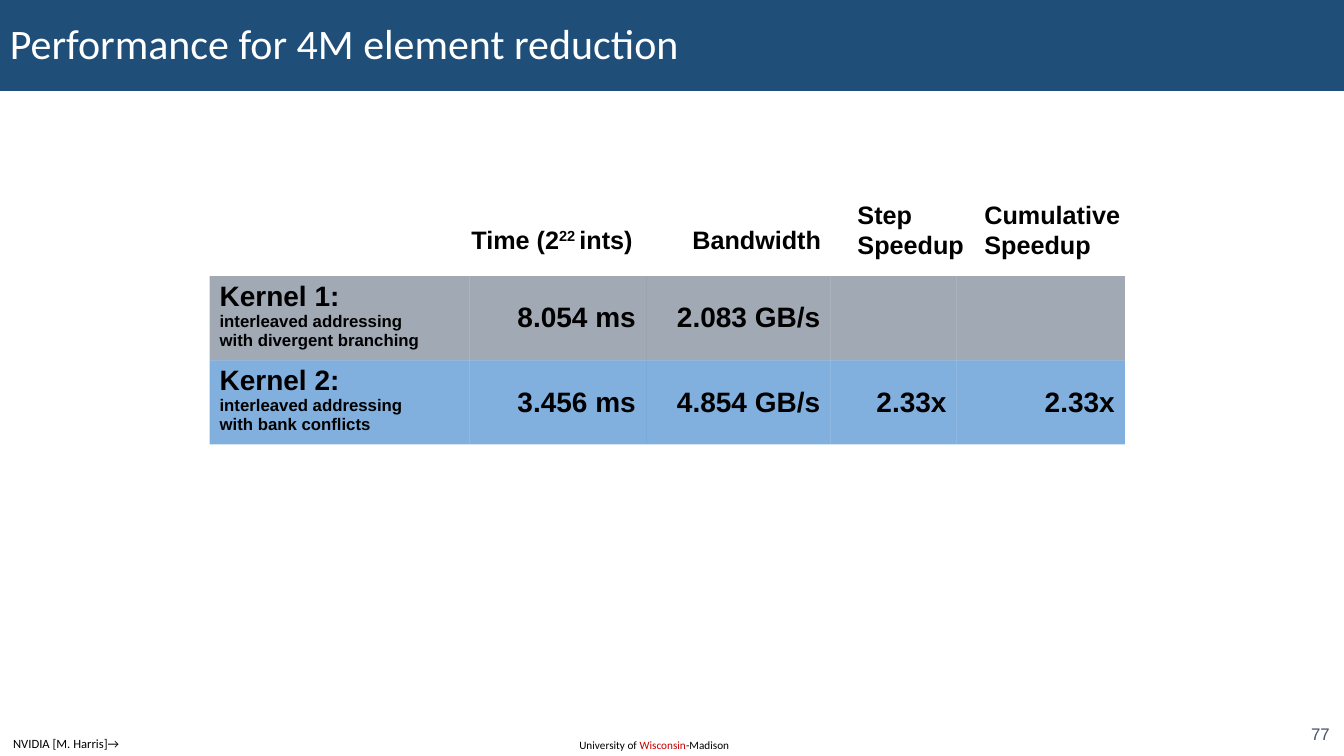
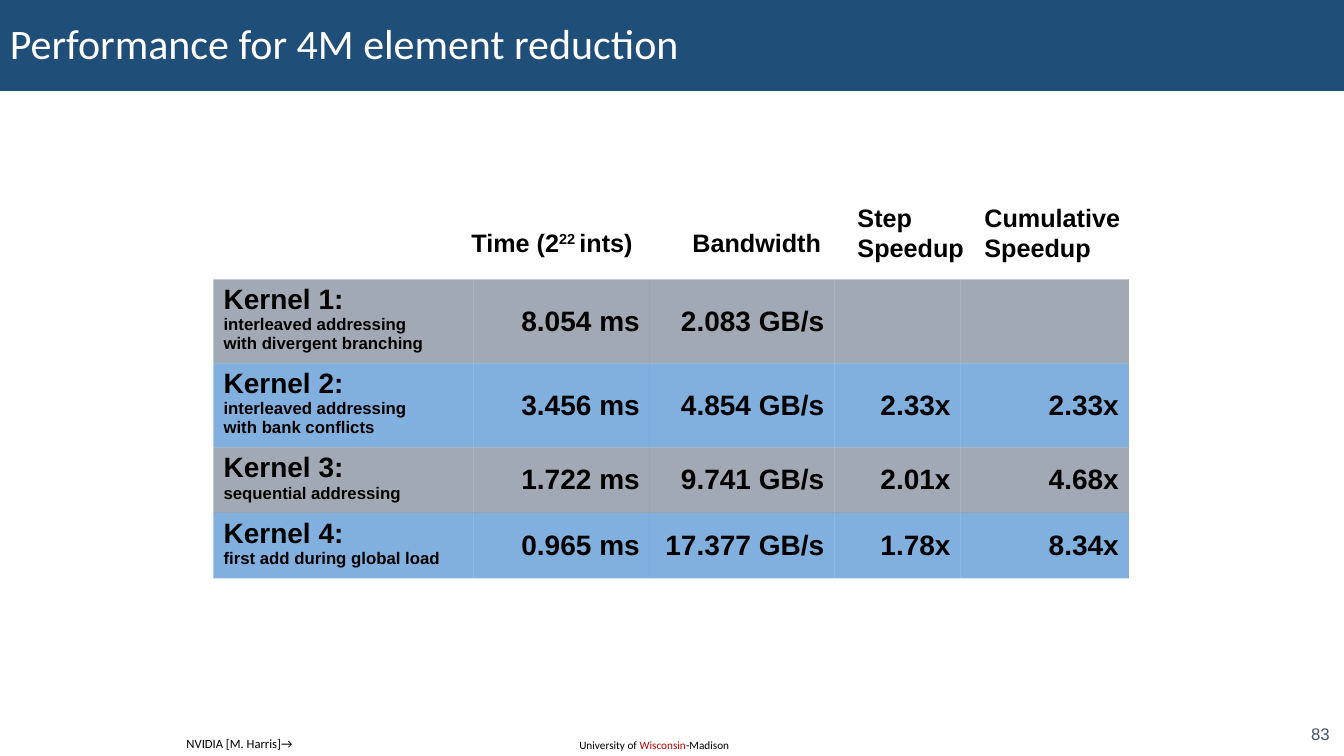
from lxml import etree
from pptx import Presentation
from pptx.dml.color import RGBColor
from pptx.enum import shapes, text
from pptx.oxml.ns import qn
from pptx.util import Cm, Pt

NAVY = RGBColor(0x1F, 0x4E, 0x79)
SLATE = RGBColor(0x44, 0x54, 0x6A)
BLUE = RGBColor(0x05, 0x63, 0xC1)
RED = RGBColor(0xC0, 0x00, 0x00)
BLACK = RGBColor(0, 0, 0)
WHITE = RGBColor(255, 255, 255)

LEFT, RIGHT = text.PP_ALIGN.LEFT, text.PP_ALIGN.RIGHT
TOP, MIDDLE = text.MSO_ANCHOR.TOP, text.MSO_ANCHOR.MIDDLE
PLAIN_TABLE = "{2D5ABB26-0587-4C30-8999-92F81FD0307C}"

WIDTH, HEIGHT = 33.87, 19.05
COLUMNS = (6.55, 4.45, 4.65, 3.18, 4.24)
HEADERS = (
    (11.63, 4.67, [["Time (2", ("22 ", {"baseline": 30}), "ints)"]]),
    (17.2, 3.76, ["Bandwidth"]),
    (21.36, 3.2, ["Step", "Speedup"]),
    (24.56, 3.94, ["Cumulative", "Speedup"]),
)
KERNELS = (
    (("interleaved addressing", "with divergent branching"), "8.054 ms", "2.083 GB/s", "", ""),
    (("interleaved addressing", "with bank conflicts"), "3.456 ms", "4.854 GB/s", "2.33x", "2.33x"),
    (("sequential addressing",), "1.722 ms", "9.741 GB/s", "2.01x", "4.68x"),
    (("first add during global load",), "0.965 ms", "17.377 GB/s", "1.78x", "8.34x"),
)


def write(tf, lines, align=LEFT, spacing=None, **base):
    for i, line in enumerate(lines):
        p = tf.paragraphs[0] if i == 0 else tf.add_paragraph()
        p.alignment = align
        if spacing:
            p.line_spacing = spacing
        for part in [line] if isinstance(line, (str, tuple)) else line:
            content, extra = (part, {}) if isinstance(part, str) else part
            fmt = {"font": "Arial", "size": 18, "color": BLACK, "bold": False, **base, **extra}
            r = p.add_run()
            r.text = content
            r.font.name = fmt["font"]
            r.font.size = Pt(fmt["size"])
            r.font.bold = fmt["bold"]
            r.font.color.rgb = fmt["color"]
            if "baseline" in fmt:
                r._r.get_or_add_rPr().set("baseline", str(fmt["baseline"] * 1000))


class Deck:
    def __init__(self):
        self.prs = Presentation()
        self.prs.slide_width, self.prs.slide_height = Cm(WIDTH), Cm(HEIGHT)
        self.s = None

    def slide(self, title, number):
        self.s = self.prs.slides.add_slide(self.prs.slide_layouts[6])
        self.label(14.35, 18.49, 4.37, 0.61,
                   [["University of ", ("Wisconsin", {"color": RED}), "-Madison"]],
                   font="Calibri", size=8)
        self.band(title)
        self.label(31.83, 18.11, 1.93, 0.74, [str(number)], anchor=MIDDLE,
                   align=RIGHT, size=12, color=SLATE)

    def band(self, title):
        sp = self.s.shapes.add_shape(shapes.MSO_SHAPE.RECTANGLE, 0, 0, Cm(WIDTH), Cm(2.29))
        sp.shadow.inherit = False
        sp.fill.solid()
        sp.fill.fore_color.rgb = NAVY
        sp.line.fill.background()
        sp.text_frame.vertical_anchor = MIDDLE
        write(sp.text_frame, [title], spacing=0.9, font="Calibri", size=30, color=WHITE)

    def label(self, x, y, w, h, lines, wrap=True, anchor=TOP, **fmt):
        tf = self.s.shapes.add_textbox(Cm(x), Cm(y), Cm(w), Cm(h)).text_frame
        tf.word_wrap = wrap
        tf.vertical_anchor = anchor
        write(tf, lines, **fmt)

    def cell(self, cell, lines, color, anchor=MIDDLE, **fmt):
        cell.fill.solid()
        cell.fill.fore_color.rgb = color
        clr = cell.fill._xPr.find(".//" + qn("a:srgbClr"))
        etree.SubElement(clr, qn("a:alpha")).set("val", "50000")
        cell.vertical_anchor = anchor
        write(cell.text_frame, lines, size=20, bold=True, **fmt)

    def kernel_table(self, x, y, kernels):
        heights = [2.11] + [1.65] * (len(kernels) - 1)
        gf = self.s.shapes.add_table(len(kernels), len(COLUMNS), Cm(x), Cm(y),
                                     Cm(sum(COLUMNS)), Cm(sum(heights)))
        gf.element.find(".//" + qn("a:tableStyleId")).text = PLAIN_TABLE
        table = gf.table
        table.first_row = table.horz_banding = False
        for column, w in zip(table.columns, COLUMNS):
            column.width = Cm(w)
        for i, (notes, *values) in enumerate(kernels):
            table.rows[i].height = Cm(heights[i])
            color = (SLATE, BLUE)[i % 2]
            name = [f"Kernel {i + 1}:"] + [(note, {"size": 12}) for note in notes]
            self.cell(table.cell(i, 0), name, color, anchor=TOP)
            for j, value in enumerate(values, 1):
                self.cell(table.cell(i, j), [value] if value else [], color, align=RIGHT)

    def headers(self, table_top):
        for x, w, lines in HEADERS:
            rise, h = (2.07, 1.78) if len(lines) == 2 else (1.44, 1.02)
            self.label(x, table_top - rise, w, h, lines, wrap=False, bold=True)

    def credit(self, x):
        self.label(x, 18.42, 3.18, 0.64, ["NVIDIA [M. Harris]→"], wrap=False,
                   font="Calibri", size=9)


def main():
    deck = Deck()
    for number, count, x, y, credit_x in ((77, 2, 5.28, 6.96, 0.08), (83, 4, 5.38, 7.04, 4.45)):
        deck.slide("Performance for 4M element reduction", number)
        deck.kernel_table(x, y, KERNELS[:count])
        deck.headers(y)
        deck.credit(credit_x)
    deck.prs.save("out.pptx")


if __name__ == "__main__":
    main()
